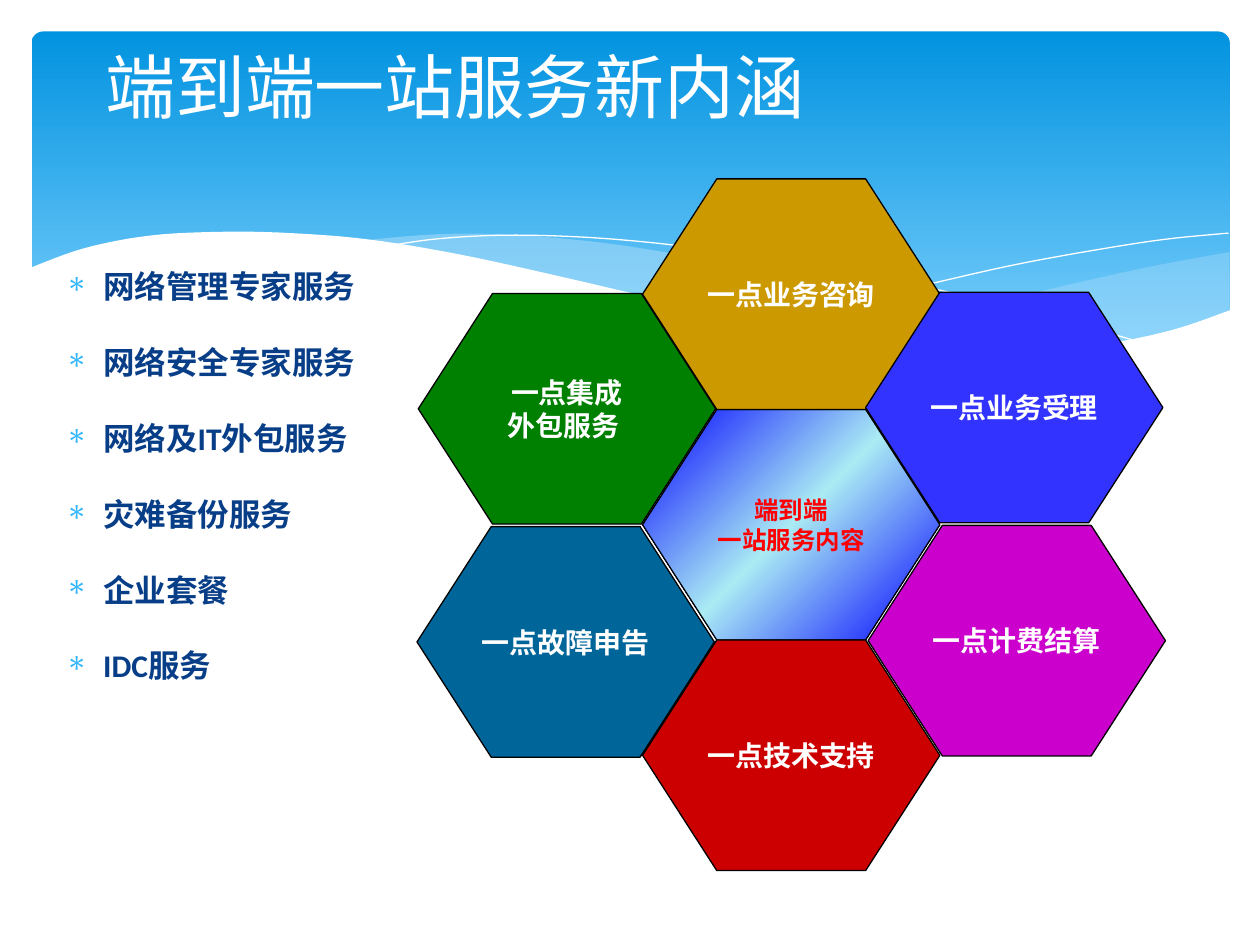
import copy

import pptx
import pptx.dml.color
import pptx.enum.shapes
import pptx.enum.text
import pptx.oxml.ns
import pptx.util
from lxml import etree
from pptx.util import Inches

RGBColor = pptx.dml.color.RGBColor
Shape = pptx.enum.shapes.MSO_SHAPE
Align = pptx.enum.text.PP_ALIGN
Anchor = pptx.enum.text.MSO_ANCHOR
qn = pptx.oxml.ns.qn

WHITE = RGBColor(0xFF, 0xFF, 0xFF)
BLACK = RGBColor(0x00, 0x00, 0x00)
SKY_TOP = RGBColor(0x02, 0x93, 0xE0)
SKY_BOTTOM = RGBColor(0x83, 0xD3, 0xFE)
WAVE_BLUE = RGBColor(0xC6, 0xE7, 0xFC)
BULLET_BLUE = RGBColor(0x31, 0xB6, 0xFD)
NAVY = RGBColor(0x07, 0x3E, 0x87)
RED = RGBColor(0xFF, 0x00, 0x00)
BLUE = RGBColor(0x00, 0x00, 0xFF)
AQUA = RGBColor(0xAA, 0xEB, 0xF4)

# Guide points of the wave edges, in inches
RIGHT_WAVE_TOP = [(9.76, 2), (9.21, 2.1), (8.61, 2.23), (7.79, 2.42), (7.06, 2.57), (6.61, 2.65)]
RIGHT_WAVE_BOTTOM = [(6.61, 2.65), (7.05, 2.71), (7.57, 2.76), (8.03, 2.78), (8.54, 2.76),
                     (8.97, 2.7), (9.35, 2.62), (9.76, 2.47)]
LEFT_WAVE_TOP = [(8.93, 2.73), (8.07, 2.6), (7.41, 2.47), (6.68, 2.31), (5.98, 2.14), (5.27, 2),
                 (4.64, 1.91), (3.99, 1.86), (3.44, 1.86), (2.86, 1.91)]
LEFT_WAVE_BOTTOM = [(2.86, 1.91), (3.42, 1.99), (4.04, 2.11), (4.91, 2.32), (5.66, 2.48),
                    (6.34, 2.61), (6.95, 2.7), (7.48, 2.76), (7.96, 2.79), (8.48, 2.78), (8.93, 2.73)]
LEFT_LINE = [(3.09, 1.95), (3.43, 1.9), (3.87, 1.87), (4.33, 1.87), (4.89, 1.9), (5.56, 1.97),
             (6.36, 2.08), (7.27, 2.26), (8.31, 2.51), (9.07, 2.72)]
RIGHT_LINE = [(6.13, 2.57), (6.72, 2.41), (7.48, 2.23), (8.06, 2.1), (8.66, 1.99), (9.24, 1.9), (9.75, 1.85)]
WHITE_WAVE_TOP = [(9.77, 2.46), (9.3, 2.62), (8.75, 2.73), (8.09, 2.77), (7.44, 2.74), (6.68, 2.65),
                  (6.03, 2.54), (5.29, 2.39), (4.47, 2.2), (3.65, 2.02), (2.92, 1.9), (2.3, 1.85),
                  (1.76, 1.84), (1.19, 1.87), (0.67, 1.97), (0.23, 2.13)]

SERVICES = ["网络管理专家服务", "网络安全专家服务", "网络及IT外包服务", "灾难备份服务", "企业套餐", "IDC服务"]

# Left, top, fill, text of the outer hexagons
OUTER_HEXAGONS = [
    (3.32, 2.33, RGBColor(0x00, 0x80, 0x00), ["一点集成", "外包服务 "], "Noto Sans CJK SC"),
    (5.1, 1.42, RGBColor(0xCC, 0x99, 0x00), ["一点业务咨询"], "Arial"),
    (6.87, 2.32, RGBColor(0x33, 0x33, 0xFF), ["一点业务受理"], "Arial"),
    (6.89, 4.17, RGBColor(0xCC, 0x00, 0xCC), ["一点计费结算"], "Arial"),
    (5.1, 5.08, RGBColor(0xCC, 0x00, 0x00), ["一点技术支持"], "Arial"),
    (3.31, 4.18, RGBColor(0x00, 0x66, 0x99), ["一点故障申告"], "Arial"),
]


def smooth(points, steps=6):
    """Return a Catmull-Rom curve through the points."""
    padded = [points[0], *points, points[-1]]
    curve = []
    for a, b, c, d in zip(padded, padded[1:], padded[2:], padded[3:]):
        for step in range(steps):
            t = step / steps
            curve.append(tuple(
                b[i] + t * (c[i] - a[i]) / 2
                + t ** 2 * (2 * a[i] - 5 * b[i] + 4 * c[i] - d[i]) / 2
                + t ** 3 * (3 * b[i] - a[i] - 3 * c[i] + d[i]) / 2
                for i in (0, 1)))
    return curve + [points[-1]]


def set_gradient(shape, colors, angle):
    """Spread the colors evenly; the angle runs counter-clockwise."""
    shape.fill.gradient()
    shape.fill.gradient_angle = angle
    stop_list = shape.element.spPr.find(qn("a:gradFill")).find(qn("a:gsLst"))
    while len(stop_list) < len(colors):
        stop_list.append(copy.deepcopy(stop_list[0]))
    for index, (stop, color) in enumerate(zip(shape.fill.gradient_stops, colors)):
        stop.color.rgb = color
        stop.position = index / (len(colors) - 1)


def style_font(paragraph, name, size, color, bold=False):
    paragraph.font.name = name
    paragraph.font.size = pptx.util.Pt(size)
    paragraph.font.color.rgb = color
    paragraph.font.bold = bold


def add_freeform(slide, points, closed):
    points = [(Inches(x), Inches(y)) for x, y in points]
    builder = slide.shapes.build_freeform(*points[0])
    builder.add_line_segments(points[1:], close=closed)
    shape = builder.convert_to_shape()
    shape.shadow.inherit = False
    return shape


def add_wave(slide, points, color, opacity=100):
    shape = add_freeform(slide, points, closed=True)
    shape.fill.solid()
    shape.fill.fore_color.rgb = color
    shape.line.fill.background()
    if opacity < 100:
        color_element = shape.element.spPr.find(qn("a:solidFill"))[0]
        etree.SubElement(color_element, qn("a:alpha"), val=str(opacity * 1000))


def add_wave_line(slide, points):
    shape = add_freeform(slide, smooth(points), closed=False)
    shape.fill.background()
    shape.line.color.rgb = WHITE
    shape.line.width = pptx.util.Pt(0)


def add_background(slide):
    panel = slide.shapes.add_shape(Shape.ROUNDED_RECTANGLE, Inches(0.25), Inches(0.25), Inches(9.51), Inches(2.7))
    panel.adjustments[0] = 0.034
    panel.shadow.inherit = False
    panel.line.fill.background()
    set_gradient(panel, [SKY_TOP, SKY_BOTTOM], 270)
    add_wave(slide, smooth(RIGHT_WAVE_TOP) + smooth(RIGHT_WAVE_BOTTOM), WAVE_BLUE, 29)
    add_wave(slide, smooth(LEFT_WAVE_TOP) + smooth(LEFT_WAVE_BOTTOM), WAVE_BLUE, 40)
    add_wave_line(slide, LEFT_LINE)
    add_wave_line(slide, RIGHT_LINE)
    add_wave(slide, smooth(WHITE_WAVE_TOP) + [(0.23, 3.29), (9.77, 3.29)], WHITE)


def add_title(slide, text):
    title = slide.shapes.title
    title.left, title.top, title.width, title.height = Inches(0.33), Inches(0.36), Inches(6.56), Inches(0.63)
    title.text_frame.text = text
    title.text_frame.vertical_anchor = Anchor.MIDDLE
    paragraph = title.text_frame.paragraphs[0]
    paragraph.alignment = Align.CENTER
    style_font(paragraph, "Calibri", 40, WHITE)
    # Bring the title in front of the background
    title.element.getparent().append(title.element)


def add_bullet(paragraph, character, color):
    properties = paragraph._p.get_or_add_pPr()
    properties.set("marL", str(Inches(0.3)))
    properties.set("indent", str(-Inches(0.3)))
    bullet_color = etree.SubElement(properties, qn("a:buClr"))
    etree.SubElement(bullet_color, qn("a:srgbClr"), val=str(color))
    etree.SubElement(properties, qn("a:buChar"), char=character)


def add_service_list(slide, services):
    box = slide.shapes.add_textbox(Inches(0.42), Inches(1.83), Inches(2.75), Inches(4.45))
    box.text_frame.word_wrap = True
    box.text_frame.text = "\n".join(services)
    for paragraph in box.text_frame.paragraphs:
        paragraph.line_spacing = 1.8
        paragraph.space_before = pptx.util.Pt(4.5)
        add_bullet(paragraph, "∗", BULLET_BLUE)
        style_font(paragraph, "Calibri", 18, NAVY, bold=True)


def add_hexagon(slide, left, top, lines, font_name, size=16, color=WHITE):
    hexagon = slide.shapes.add_shape(Shape.HEXAGON, Inches(left), Inches(top), Inches(2.36), Inches(1.83))
    hexagon.adjustments[0] = 0.322
    hexagon.adjustments[1] = 1.155
    hexagon.shadow.inherit = False
    hexagon.line.color.rgb = BLACK
    hexagon.line.width = pptx.util.Pt(0.75)
    frame = hexagon.text_frame
    frame.word_wrap = False
    frame.vertical_anchor = Anchor.MIDDLE
    frame.text = "\n".join(lines)
    for paragraph in frame.paragraphs:
        paragraph.alignment = Align.CENTER
        style_font(paragraph, font_name, size, color, bold=True)
    return hexagon


def main():
    presentation = pptx.Presentation()
    presentation.slide_width, presentation.slide_height = Inches(10), Inches(7.5)
    slide = presentation.slides.add_slide(presentation.slide_layouts[5])
    add_background(slide)
    add_service_list(slide, SERVICES)
    add_title(slide, "端到端一站服务新内涵")

    # Honeycomb: the center first, then the ring around it
    center = add_hexagon(slide, 5.1, 3.25, ["端到端", "一站服务内容"], "Arial", 14, RED)
    set_gradient(center, [BLUE, AQUA, BLUE], 315)
    for left, top, fill, lines, font_name in OUTER_HEXAGONS:
        hexagon = add_hexagon(slide, left, top, lines, font_name)
        hexagon.fill.solid()
        hexagon.fill.fore_color.rgb = fill
    presentation.save("out.pptx")


if __name__ == "__main__":
    main()
